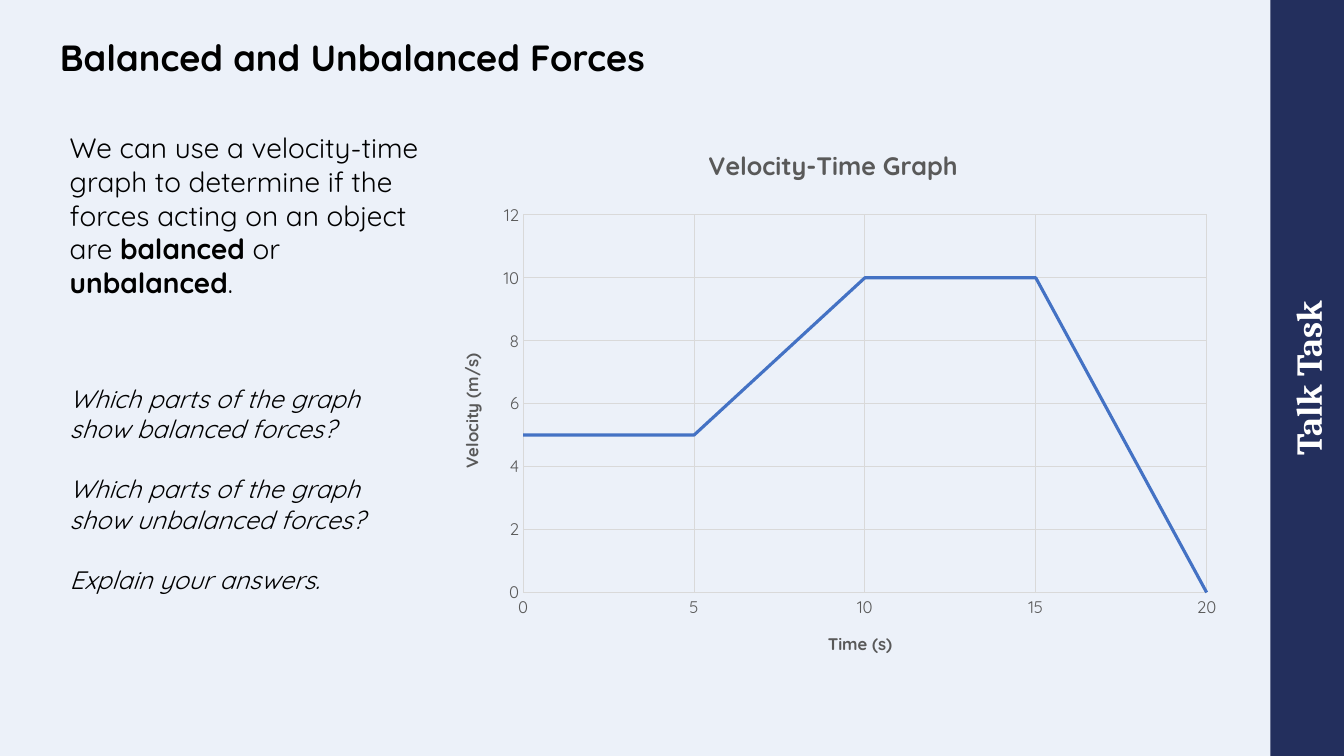
"""Build the velocity-time talk task slide."""
from dataclasses import dataclass

from lxml.etree import SubElement
from pptx import Presentation
from pptx.chart.data import CategoryChartData
from pptx.dml.color import RGBColor as Rgb
from pptx.enum.chart import XL_CHART_TYPE as ChartType, XL_TICK_MARK as Tick
from pptx.enum.shapes import MSO_SHAPE as Shape
from pptx.enum.text import MSO_ANCHOR as Anchor, MSO_AUTO_SIZE as AutoSize, PP_ALIGN as Align
from pptx.oxml.ns import qn
from pptx.util import Pt

EMU_PER_PX = 9525


@dataclass(frozen=True)
class Theme:
    """Colours, fonts and type sizes in points."""
    paper: str = "ECF1F9"
    navy: str = "232F5D"
    white: str = "FFFFFF"
    ink: str = "000000"
    grey: str = "595959"
    grid: str = "D9D9D9"
    blue: str = "4472C4"
    body_font: str = "Quicksand"
    band_font: str = "Cambria"
    heading: int = 26
    intro: int = 20
    question: int = 18
    chart_title: int = 18
    axis: int = 12


class SlideBuilder:
    """Hold the theme and the current slide."""

    def __init__(self, deck, theme):
        """Open a title slide on a plain background."""
        self.theme = theme
        self.slide = deck.slides.add_slide(deck.slide_layouts[5])
        fill = self.slide.background.fill
        fill.solid()
        fill.fore_color.rgb = Rgb.from_string(theme.paper)

    def box(self, *px):
        """Turn px lengths into EMU."""
        return [length * EMU_PER_PX for length in px]

    def style(self, font, size, color, bold=False, italic=False, name=None):
        """Apply one type style to a font."""
        font.name = name or self.theme.body_font
        font.size = Pt(size)
        font.bold = bold
        font.italic = italic
        font.color.rgb = Rgb.from_string(color)

    def clear_margins(self, frame):
        """Remove the insets of a text frame."""
        frame.margin_left = frame.margin_top = frame.margin_right = frame.margin_bottom = 0

    def heading(self, wording, *px):
        """Fill and place the title placeholder."""
        title = self.slide.shapes.title
        title.left, title.top, title.width, title.height = self.box(*px)
        frame = title.text_frame
        frame.text = wording
        frame.vertical_anchor = Anchor.BOTTOM
        self.clear_margins(frame)
        line = frame.paragraphs[0]
        line.alignment = Align.LEFT
        line.line_spacing = 0.9
        self.style(line.runs[0].font, self.theme.heading, self.theme.ink, bold=True)

    def side_band(self, wording, *px):
        """Draw the label band that reads upwards."""
        band = self.slide.shapes.add_shape(Shape.RECTANGLE, *self.box(*px))
        band.rotation = 270
        band.shadow.inherit = False
        band.fill.solid()
        band.fill.fore_color.rgb = Rgb.from_string(self.theme.navy)
        band.line.fill.background()
        frame = band.text_frame
        frame.text = wording
        frame.vertical_anchor = Anchor.MIDDLE
        self.clear_margins(frame)
        label = frame.paragraphs[0]
        label.alignment = Align.CENTER
        self.style(label.runs[0].font, self.theme.heading, self.theme.white,
                   bold=True, name=self.theme.band_font)

    def passage(self, paragraphs, size, *px, italic=False, gap=0):
        """Write paragraphs made of (wording, bold) pieces."""
        frame = self.slide.shapes.add_textbox(*self.box(*px)).text_frame
        frame.word_wrap = True
        frame.auto_size = AutoSize.SHAPE_TO_FIT_TEXT
        for index, pieces in enumerate(paragraphs):
            paragraph = frame.add_paragraph() if index else frame.paragraphs[0]
            if index and gap:
                paragraph.space_before = Pt(gap)
            for wording, bold in pieces:
                run = paragraph.add_run()
                run.text = wording
                self.style(run.font, size, self.theme.ink, bold, italic)

    def chart_label(self, frame, wording, size):
        """Write a bold chart or axis title."""
        frame.text = wording
        self.style(frame.paragraphs[0].runs[0].font, size, self.theme.grey, bold=True)

    def axis(self, axis, wording):
        """Format one axis with its grid and title."""
        axis.major_tick_mark = axis.minor_tick_mark = Tick.NONE
        axis.has_major_gridlines = True
        for line in (axis.major_gridlines.format.line, axis.format.line):
            line.color.rgb = Rgb.from_string(self.theme.grid)
            line.width = Pt(0.75)
        self.style(axis.tick_labels.font, self.theme.axis, self.theme.grey)
        self.chart_label(axis.axis_title.text_frame, wording, self.theme.axis)

    def line_chart(self, title, times, velocities, axis_titles, plot_area, *px):
        """Add the line chart with a fixed plot area."""
        data = CategoryChartData()
        data.categories = times
        data.add_series("Series 1", velocities)
        chart = self.slide.shapes.add_chart(ChartType.LINE, *self.box(*px), data).chart
        self.style(chart.font, self.theme.axis, self.theme.grey)
        chart.has_legend = False
        chart.has_title = True
        self.chart_label(chart.chart_title.text_frame, title, self.theme.chart_title)
        for axis, wording in zip((chart.category_axis, chart.value_axis), axis_titles):
            self.axis(axis, wording)
        scale = chart.value_axis
        scale.minimum_scale, scale.maximum_scale, scale.major_unit = 0, 12, 2
        scale.format.line.fill.background()
        plot = chart.plots[0]
        plot.vary_by_categories = False
        velocity = plot.series[0]
        velocity.smooth = False
        velocity.format.line.color.rgb = Rgb.from_string(self.theme.blue)
        velocity.format.line.width = Pt(2.25)
        self.fix_plot(chart, plot_area)

    def fix_plot(self, chart, plot_area):
        """Start the line on the axis and fix the inner plot area."""
        area = chart._chartSpace.find(".//" + qn("c:plotArea"))
        value_axis = area.find(qn("c:valAx"))
        for automatic in value_axis.findall(qn("c:crossBetween")):
            value_axis.remove(automatic)
        crossing = SubElement(value_axis, qn("c:crossBetween"), val="midCat")
        value_axis.find(qn("c:crosses")).addnext(crossing)
        for automatic in area.findall(qn("c:layout")):
            area.remove(automatic)
        layout = SubElement(area, qn("c:layout"))
        area.insert(0, layout)
        manual = SubElement(layout, qn("c:manualLayout"))
        settings = [("layoutTarget", "inner"), ("xMode", "edge"), ("yMode", "edge")]
        for tag, setting in settings + list(zip("xywh", plot_area)):
            SubElement(manual, qn("c:" + tag)).set("val", str(setting))


def main():
    """Compose and save the slide."""
    theme = Theme()
    deck = Presentation()
    deck.slide_width, deck.slide_height = 1280 * EMU_PER_PX, 720 * EMU_PER_PX
    page = SlideBuilder(deck, theme)
    page.side_band("Talk Task", 885, 325, 720, 70)
    page.heading("Balanced and Unbalanced Forces", 57, 0, 1115, 76)
    page.line_chart("Velocity-Time Graph", ["0", "5", "10", "15", "20"], [5, 5, 10, 10, 0],
                    ("Time (s)", "Velocity (m/s)"), (0.11, 0.16, 0.86, 0.68),
                    415, 120, 757, 529)
    questions = ["Which parts of the graph show balanced forces?",
                 "Which parts of the graph show unbalanced forces?",
                 "Explain your answers."]
    page.passage([[(question, False)] for question in questions], theme.question,
                 57, 360, 332, 272, italic=True, gap=21.6)
    intro = [("We can use a velocity-time graph to determine if the forces acting on an object are ",
              False), ("balanced", True), (" or ", False), ("unbalanced", True), (".", False)]
    page.passage([intro], theme.intro, 57, 120, 357, 171)
    deck.save("out.pptx")


if __name__ == "__main__":
    main()
